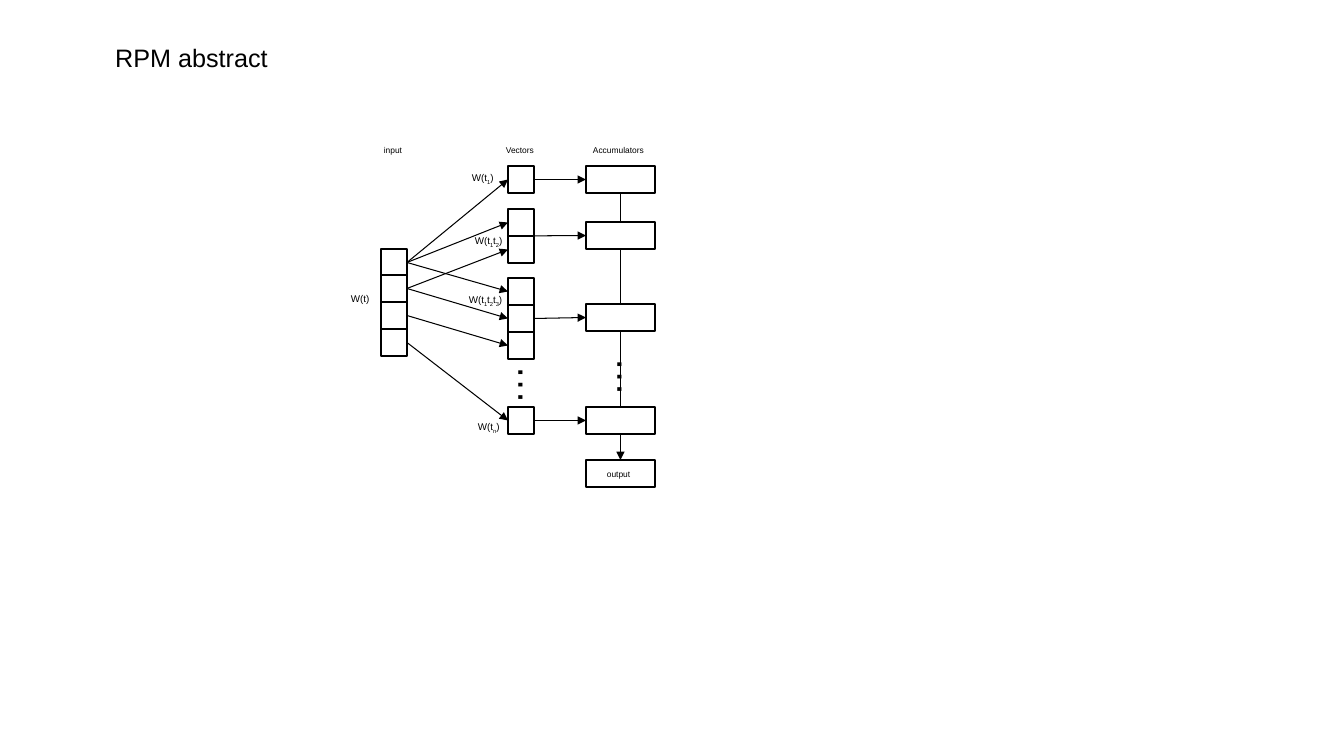
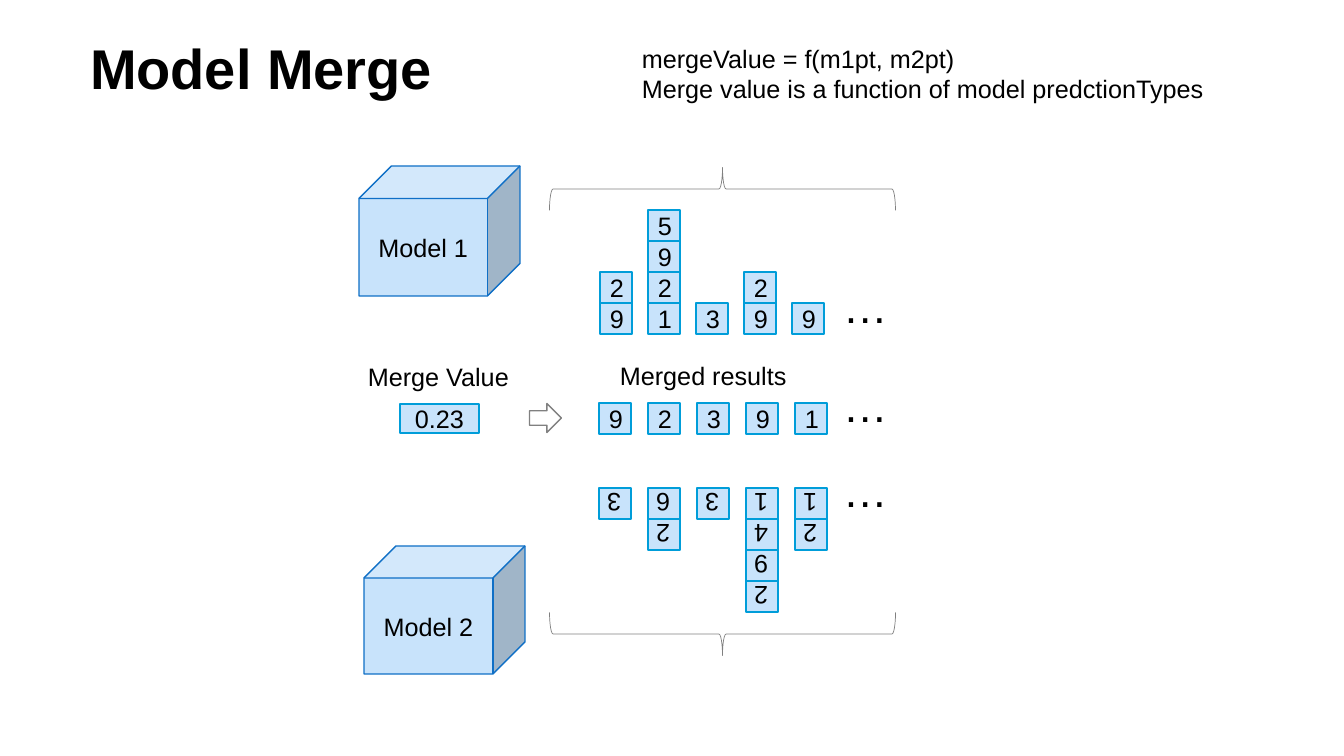
"""Build two slides: the RPM abstract network and the model merge diagram."""
from lxml import etree
from pptx import Presentation
from pptx.dml.color import RGBColor
from pptx.enum import shapes, text
from pptx.oxml.ns import qn
from pptx.util import Pt

PX = 914400 / 100.8
BLACK = RGBColor(0x00, 0x00, 0x00)
WHITE = RGBColor(0xFF, 0xFF, 0xFF)
GREY = RGBColor(0x80, 0x80, 0x80)
PALE = RGBColor(0xC8, 0xE3, 0xFB)
BLUE = RGBColor(0x0F, 0x6F, 0xC6)
CYAN = RGBColor(0x00, 0x9D, 0xD9)
FONT = "Arial"
KIND = shapes.MSO_SHAPE
TOP, MID = text.MSO_ANCHOR.TOP, text.MSO_ANCHOR.MIDDLE


def put(page, box, words="", size=18, kind=None, fill=None, edge=BLACK,
        width=1, turn=0, anchor=TOP):
    """Add a shape, or a text box if there is no kind; | marks off subscripts."""
    spot = [round(n * PX) for n in box]
    if kind is None:
        item = page.shapes.add_textbox(*spot)
    else:
        item = page.shapes.add_shape(kind, *spot)
        item.shadow.inherit = False
        item.line.color.rgb = edge
        item.line.width = Pt(width)
        if fill is None:
            item.fill.background()
        else:
            item.fill.solid()
            item.fill.fore_color.rgb = fill
    item.rotation = turn
    if not words:
        return item
    frame = item.text_frame
    frame.vertical_anchor = anchor
    if kind is None:
        frame.word_wrap = False
        frame.auto_size = text.MSO_AUTO_SIZE.SHAPE_TO_FIT_TEXT
    for row, line in enumerate(words.split("\n")):
        para = frame.add_paragraph() if row else frame.paragraphs[0]
        if kind is not None:
            para.alignment = text.PP_ALIGN.CENTER
        para.font.name = FONT
        para.font.size = Pt(size)
        para.font.color.rgb = BLACK
        for part, bit in enumerate(line.split("|")):
            run = para.add_run()
            run.text = bit
            if part % 2:
                run._r.get_or_add_rPr().set("baseline", "-25000")
    return item


def link(page, start, side, end, into):
    """Join two shapes with an arrow."""
    wire = page.shapes.add_connector(shapes.MSO_CONNECTOR.STRAIGHT, 0, 0, 0, 0)
    wire.begin_connect(start, side)
    wire.end_connect(end, into)
    wire.line.color.rgb = BLACK
    wire.line.width = Pt(0.75)
    props = wire._element.spPr
    etree.SubElement(props.find(qn("a:ln")), qn("a:tailEnd"), type="triangle")
    etree.SubElement(props, qn("a:effectLst"))
    return wire


deck = Presentation()
deck.slide_width, deck.slide_height = round(1344 * PX), round(756 * PX)

pages = []
for words, box, size, bold, space in (
    ("RPM abstract", (105, 37, 182, 40), 18, False, 1.0),
    ("Model Merge", (80, 36, 1121, 130), 40, True, 0.9),
):
    page = deck.slides.add_slide(deck.slide_layouts[5])
    title = page.shapes.title
    title.left, title.top, title.width, title.height = [round(n * PX) for n in box]
    title.text = words
    frame = title.text_frame
    frame.vertical_anchor = TOP
    frame.auto_size = text.MSO_AUTO_SIZE.NONE
    para = frame.paragraphs[0]
    para.alignment = text.PP_ALIGN.LEFT
    para.line_spacing = space
    para.font.name = FONT
    para.font.size = Pt(size)
    para.font.bold = bold
    para.font.color.rgb = BLACK
    pages.append(page)
net, merge = pages

banks = []
for left, wide, tops in (
    (381, 26, (249, 275, 302, 329)),
    (508, 26, (166, 209, 236, 278, 305, 332, 407)),
    (586, 69, (166, 222, 304, 407, 460)),
):
    banks.append([put(net, (left, top, wide, 27), kind=KIND.RECTANGLE, fill=WHITE)
                  for top in tops])
ins, vecs, accs = banks

spine = link(net, accs[0], 2, accs[-1], 0)
spine._element.getparent().insert(2, spine._element)
for one, two in ((0, 0), (0, 1), (0, 3), (1, 2), (1, 4), (2, 5), (3, 6)):
    link(net, ins[one], 3, vecs[two], 1)
for one, side, two in ((0, 3, 0), (1, 2, 1), (4, 3, 2), (6, 3, 3)):
    link(net, vecs[one], side, accs[two], 1)

for left, top in ((510, 351), (609, 343)):
    put(net, (left, top, 48, 57), "…", 28, turn=90)
for words, size, box in (
    ("output", 6, (597, 464, 46, 20)),
    ("Vectors", 6, (496, 140, 51, 20)),
    ("input", 6, (374, 140, 40, 20)),
    ("Accumulators", 6, (583, 140, 76, 20)),
    ("W(t)", 7, (341, 288, 40, 22)),
    ("W(t|1|)", 7, (462, 167, 44, 22)),
    ("W(t|1|t|2|)", 7, (465, 230, 50, 22)),
    ("W(t|1|t|2|t|3|)", 7, (459, 289, 59, 22)),
    ("W(t|n|)", 7, (468, 416, 44, 22)),
):
    put(net, box, words, size)

put(merge, (531, 402, 29, 32), kind=KIND.DOWN_ARROW, fill=WHITE, edge=GREY, turn=270)
for top, turn in ((16, 90), (461, 270)):
    put(merge, (701, top, 43, 346), kind=KIND.LEFT_BRACE, edge=GREY,
        width=0.5, turn=turn)
for words, box in (("Model 1", (359, 166, 161, 130)), ("Model 2", (364, 546, 161, 128))):
    put(merge, box, words, kind=KIND.CUBE, fill=PALE, edge=BLUE, anchor=MID)

for left, pitch, top, step, turn, dots, stacks in (
    (600, 48, 303, -31, 0, 273, ("92", "1295", "3", "92", "9")),
    (599, 49, 403, 31, 0, 372, "92391"),
    (599, 49, 488, 31, 180, 457, ("3", "62", "3", "1492", "12")),
):
    for col, stack in enumerate(stacks):
        for row, digit in enumerate(stack):
            put(merge, (left + col * pitch, top + row * step, 32, 31), digit,
                kind=KIND.RECTANGLE, fill=PALE, edge=CYAN, turn=turn, anchor=MID)
    put(merge, (833, dots, 52, 65), "…", 32, anchor=MID)

put(merge, (400, 404, 79, 29), "0.23", kind=KIND.RECTANGLE, fill=PALE,
    edge=CYAN, anchor=MID)
put(merge, (358, 356, 167, 40), "Merge Value")
put(merge, (610, 355, 198, 40), "Merged results")
put(merge, (632, 38, 622, 72),
    "mergeValue = f(m1pt, m2pt)\nMerge value is a function of model predctionTypes")

deck.save("out.pptx")
